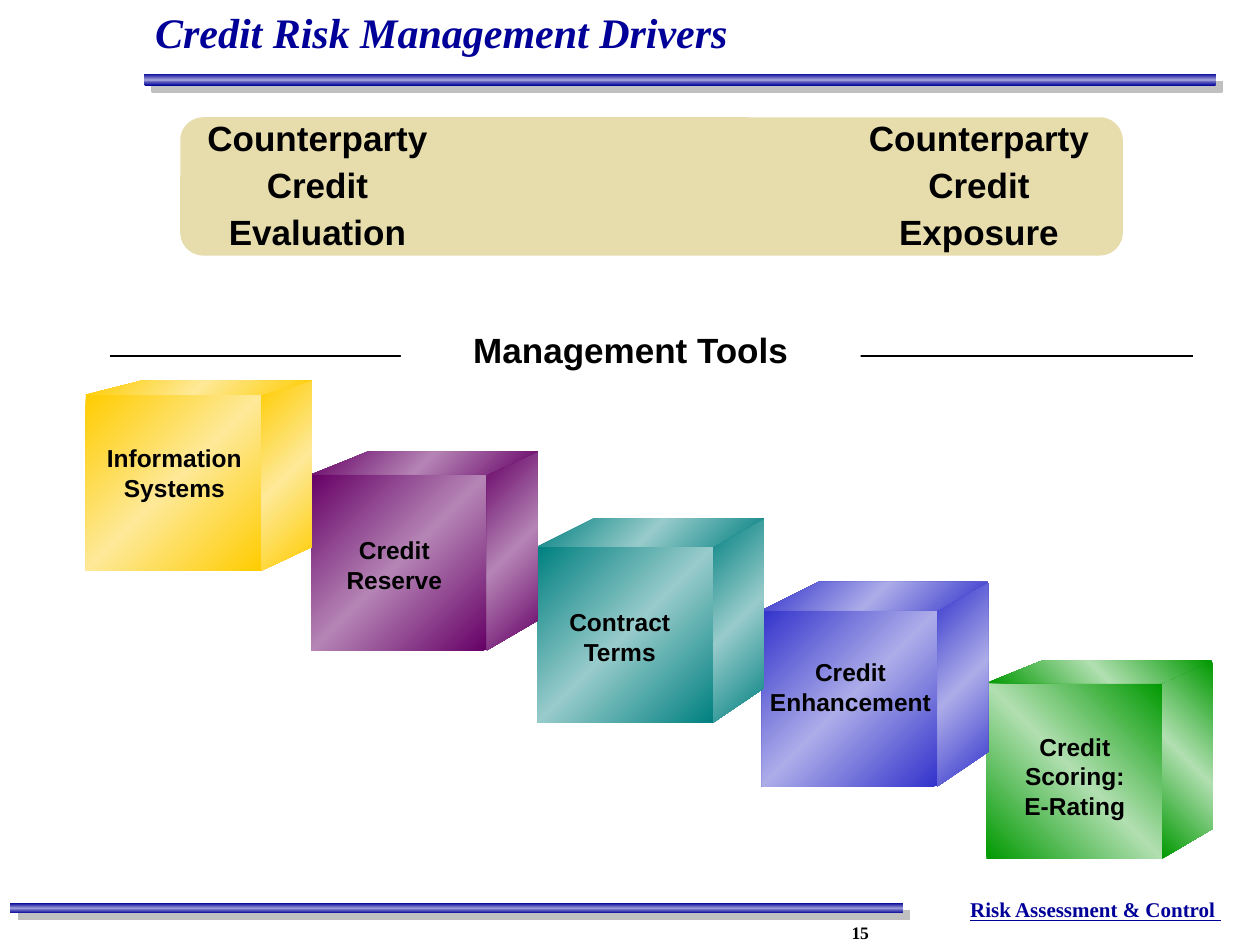
from copy import deepcopy
from lxml.etree import SubElement
from pptx import Presentation
from pptx.dml.color import RGBColor
from pptx.enum.shapes import MSO_CONNECTOR, MSO_SHAPE
from pptx.enum.text import MSO_ANCHOR, PP_ALIGN
from pptx.oxml.ns import qn
from pptx.util import Pt

THEME = {
    "navy": "000099", "navy_light": "9A9AD6", "shadow": "C0C0C0",
    "sand": "E6DCAC", "black": "000000", "white": "FFFFFF",
    "green": ("009900", "B1DFB1"), "blue": ("3333CC", "ACACE9"),
    "teal": ("008080", "98CBCB"), "purple": ("660066", "B585B5"),
    "yellow": ("FFCC00", "FEE998"),
    "serif": "Times New Roman", "sans": "Arial",
    "title": 24, "heading": 20, "label": 14, "footer": 12, "number": 10,
}


def paint_gradient(shape, edge, middle, angle):
    shape.shadow.inherit = False
    shape.line.fill.background()
    shape.fill.gradient()
    shape.fill.gradient_angle = 360 - angle
    stop_list = shape._element.spPr.find(qn("a:gradFill")).find(qn("a:gsLst"))
    stop_list.append(deepcopy(stop_list[0]))
    stops = zip(shape.fill.gradient_stops, (0, 0.5, 1), (edge, middle, edge))
    for stop, position, color in stops:
        stop.position = position
        stop.color.rgb = RGBColor.from_string(color)


def write_text(box, lines, size, color="black", face="sans", wrap=True,
               margin=7.2, anchor=MSO_ANCHOR.TOP, gap=0, font=None, **layout):
    frame = box.text_frame
    frame_format = {
        "word_wrap": wrap, "vertical_anchor": anchor,
        "margin_left": Pt(margin), "margin_right": Pt(margin),
        "margin_top": Pt(3.6), "margin_bottom": Pt(3.6),
    }
    for name, value in frame_format.items():
        setattr(frame, name, value)
    font_format = {"size": Pt(THEME[size]), "name": THEME[face], "bold": True}
    font_format.update(font or {})
    for index, line in enumerate(lines):
        para = frame.add_paragraph() if index else frame.paragraphs[0]
        if index and gap:
            para.space_before = Pt(gap)
        for name, value in layout.items():
            setattr(para, name, value)
        span = para.add_run()
        span.text = line
        for name, value in font_format.items():
            setattr(span.font, name, value)
        span.font.color.rgb = RGBColor.from_string(THEME[color])


deck = Presentation()
deck.slide_width, deck.slide_height = Pt(720), Pt(540)
page = deck.slides.add_slide(deck.slide_layouts[6])
shapes = page.shapes

footer = shapes.add_textbox(Pt(396), Pt(509), Pt(316), Pt(21.6))
footer.text_frame.paragraphs[0]._p.get_or_add_pPr().set("marL", str(Pt(144)))
write_text(footer, ["Risk Assessment & Control "], "footer", "navy", "serif",
           font={"underline": True}, alignment=PP_ALIGN.CENTER)
number = shapes.add_textbox(Pt(479.5), Pt(523.4), Pt(59), Pt(18.7))
write_text(number, ["15"], "number", face="serif", wrap=False,
           alignment=PP_ALIGN.LEFT)

for kind, left, top, width, height in (
    (MSO_SHAPE.RECTANGLE, 6, 516, 510, 6),
    (MSO_SHAPE.ROUNDED_RECTANGLE, 82.3, 42, 612.7, 7),
):
    bar = shapes.add_shape(kind, Pt(left), Pt(top), Pt(width), Pt(height))
    paint_gradient(bar, THEME["navy"], THEME["navy_light"], 90)
    effects = bar._element.spPr.find(qn("a:effectLst"))
    shadow = SubElement(effects, qn("a:outerShdw"), dist=str(Pt(5.7)),
                        dir="2700000", algn="ctr", rotWithShape="0")
    SubElement(shadow, qn("a:srgbClr"), val=THEME["shadow"])

panel = shapes.add_shape(MSO_SHAPE.ROUNDED_RECTANGLE,
                         Pt(103), Pt(67), Pt(538.6), Pt(79))
panel.shadow.inherit = False
panel.fill.solid()
panel.fill.fore_color.rgb = RGBColor.from_string(THEME["sand"])
panel.line.fill.background()

FRONT, DEPTH, SHIFT = 100.5, 28.8, 32.4
CUBES = (
    ("green", 135, 563.6, 390.3, 13, 17.2,
     ["Credit", "Scoring:", "E-Rating"], (578.2, 414.7, 72, 57.6)),
    ("blue", 225, 435.3, 348.8, 16.2, 19.5,
     ["Credit", "Enhancement"], (432.7, 372.2, 106.6, 41)),
    ("teal", 225, 307.1, 312.4, 16.2, 19.5,
     ["Contract", "Terms"], (318.2, 343.4, 72, 41)),
    ("purple", 225, 177.8, 271.1, 13, 16.8,
     ["Credit", "Reserve"], (190.8, 302.4, 69.1, 41)),
    ("yellow", 225, 48.9, 225.6, 8.2, 13.5,
     ["Information", "Systems"], (54, 249.8, 91.4, 41)),
)
for color, angle, left, top, rise, drop, lines, place in CUBES:
    cube = shapes.add_group_shape()
    right, bottom = left + FRONT, top + FRONT
    back, roof = right + DEPTH, top - rise
    faces = [cube.shapes.add_shape(MSO_SHAPE.RECTANGLE, Pt(left), Pt(top),
                                   Pt(FRONT), Pt(FRONT))]
    for outline in (
        ((right, top), (right, bottom), (back, bottom - drop), (back, roof)),
        ((left, top), (right, top), (back, roof), (left + SHIFT, roof)),
    ):
        points = [(Pt(x), Pt(y)) for x, y in outline]
        builder = cube.shapes.build_freeform(*points[0])
        builder.add_line_segments(points[1:], close=True)
        faces.append(builder.convert_to_shape())
    for face in faces:
        paint_gradient(face, *THEME[color], angle)
    label = shapes.add_textbox(*map(Pt, place))
    write_text(label, lines, "label", wrap=False, alignment=PP_ALIGN.CENTER)

for left, width, topic in ((485.3, 148.3, "Exposure"),
                           (67.7, 227.5, "Evaluation")):
    driver = shapes.add_textbox(Pt(left), Pt(67.7), Pt(width), Pt(80))
    write_text(driver, ["Counterparty", "Credit", topic], "heading", gap=7.5,
               alignment=PP_ALIGN.CENTER, line_spacing=0.8)

title = shapes.add_textbox(Pt(85), Pt(5.8), Pt(614), Pt(30.2))
write_text(title, ["Credit Risk Management Drivers"], "title", "navy", "serif",
           margin=3.6, anchor=MSO_ANCHOR.BOTTOM, font={"italic": True},
           line_spacing=0.85)

rule = shapes.add_connector(MSO_CONNECTOR.STRAIGHT,
                            Pt(62.6), Pt(203.5), Pt(682), Pt(203.5))
rule.line.width = Pt(1.5)
rule.line.color.rgb = RGBColor.from_string(THEME["black"])
SubElement(rule._element.spPr, qn("a:effectLst"))

heading = shapes.add_shape(MSO_SHAPE.RECTANGLE,
                           Pt(229), Pt(184.3), Pt(262.8), Pt(31.7))
heading.shadow.inherit = False
heading.fill.solid()
heading.fill.fore_color.rgb = RGBColor.from_string(THEME["white"])
heading.line.fill.background()
write_text(heading, ["Management Tools"], "heading",
           alignment=PP_ALIGN.CENTER)

deck.save("out.pptx")
